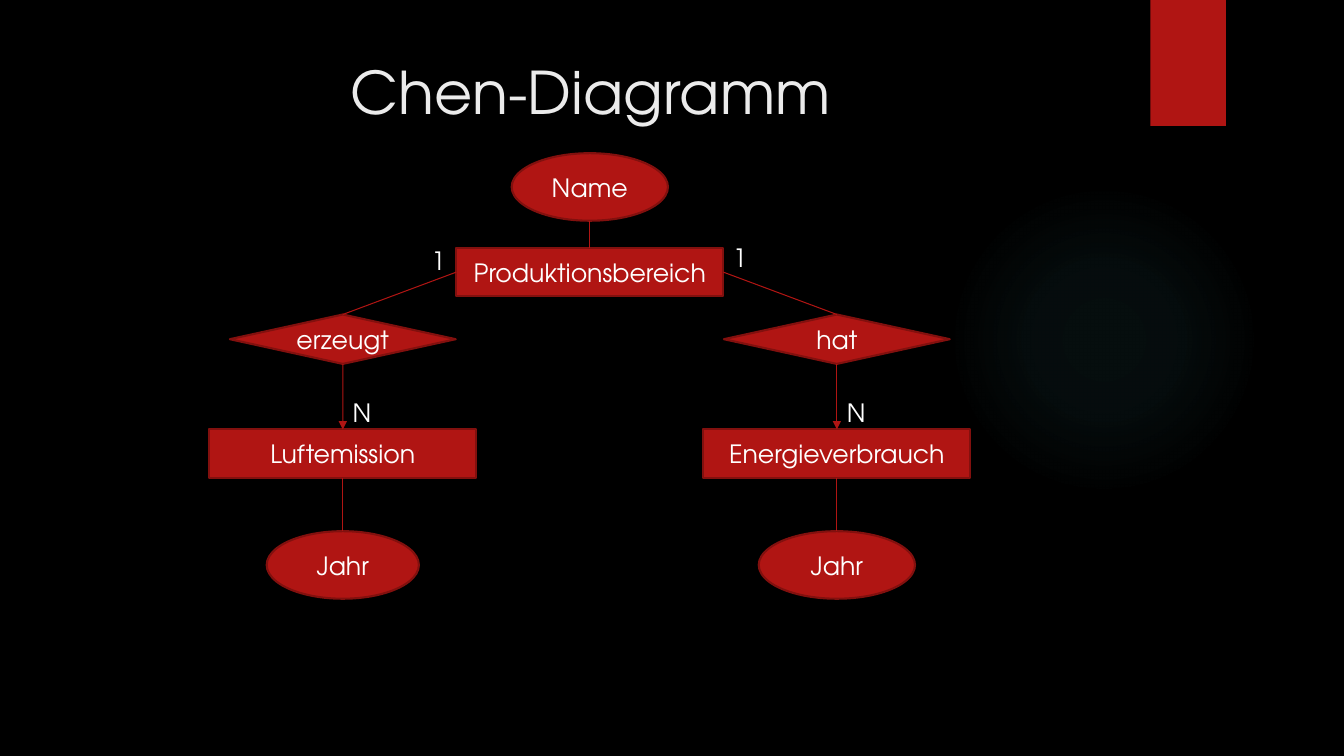
from dataclasses import dataclass

from lxml import etree
from pptx import Presentation
from pptx import util as u
from pptx.dml.color import RGBColor
from pptx.enum import shapes, text
from pptx.oxml import parse_xml
from pptx.oxml.ns import nsdecls, qn


@dataclass(frozen=True)
class Theme:
    font: str = "TeX Gyre Adventor"
    background: str = "000000"
    red: str = "B01513"
    outline: str = "82100E"
    glow: str = "50B9C1"
    title: str = "EBEBEB"
    white: str = "FFFFFF"
    title_size: float = 42
    body_size: float = 18
    node_line: float = 1.5
    link_line: float = 0.75


def rgb(value):
    return RGBColor.from_string(value)


class SlideBuilder:
    def __init__(self, deck, theme):
        self.theme = theme
        self.page = deck.slides.add_slide(deck.slide_layouts[6])
        fill = self.page.background.fill
        fill.solid()
        fill.fore_color.rgb = rgb(theme.background)

    def set_text(self, shape, words, size, color, align, **frame_format):
        frame = shape.text_frame
        for name, value in frame_format.items():
            setattr(frame, name, value)
        para = frame.paragraphs[0]
        para.alignment = align
        span = para.add_run()
        span.text = words
        font_format = {"name": self.theme.font, "size": u.Pt(size)}
        for name, value in font_format.items():
            setattr(span.font, name, value)
        span.font.color.rgb = rgb(color)

    def shape(self, kind, left, top, width, height):
        """Add a red shape without outline or shadow."""
        box = self.page.shapes.add_shape(
            kind, *map(u.Inches, (left, top, width, height)))
        box.shadow.inherit = False
        box.fill.solid()
        box.fill.fore_color.rgb = rgb(self.theme.red)
        box.line.fill.background()
        return box

    def glow(self, left, top, size):
        """Add a faint round light that fades outwards."""
        disc = self.shape(shapes.MSO_SHAPE.OVAL, left, top, size, size)
        stops = "".join(
            f'<a:gs pos="{place * 1000}"><a:srgbClr val="{self.theme.glow}">'
            f'<a:alpha val="{alpha * 1000}"/></a:srgbClr></a:gs>'
            for place, alpha in ((0, 7), (36, 6), (69, 0)))
        gradient = parse_xml(
            f'<a:gradFill {nsdecls("a")}><a:gsLst>{stops}</a:gsLst>'
            '<a:path path="circle"><a:fillToRect l="50000" t="50000" '
            'r="50000" b="50000"/></a:path></a:gradFill>')
        properties = disc.element.spPr
        properties.replace(properties.find(qn("a:solidFill")), gradient)

    def node(self, kind, words, center, top, width, height):
        """Add a labelled diagram node, placed by its centre line."""
        box = self.shape(kind, center - width / 2, top, width, height)
        box.line.fill.solid()
        box.line.color.rgb = rgb(self.theme.outline)
        box.line.width = u.Pt(self.theme.node_line)
        self.set_text(box, words, self.theme.body_size, self.theme.white,
                      text.PP_ALIGN.CENTER, word_wrap=False,
                      vertical_anchor=text.MSO_ANCHOR.MIDDLE)
        return box

    def label(self, words, left, top, width, height, size=None, color=None,
              align=text.PP_ALIGN.LEFT, wrap=False):
        box = self.page.shapes.add_textbox(
            *map(u.Inches, (left, top, width, height)))
        self.set_text(box, words, size or self.theme.body_size,
                      color or self.theme.white, align, word_wrap=wrap)

    def link(self, start, start_side, end, end_side, arrow=False):
        """Join the middles of two node sides with a straight line."""
        line = self.page.shapes.add_connector(
            shapes.MSO_CONNECTOR.STRAIGHT,
            *side_middle(start, start_side), *side_middle(end, end_side))
        line.line.color.rgb = rgb(self.theme.red)
        line.line.width = u.Pt(self.theme.link_line)
        properties = line.element.spPr
        if arrow:
            etree.SubElement(properties.find(qn("a:ln")), qn("a:tailEnd"),
                             type="triangle")
        etree.SubElement(properties, qn("a:effectLst"))


def side_middle(box, side):
    across, down = {"top": (0.5, 0), "left": (0, 0.5),
                    "bottom": (0.5, 1), "right": (1, 0.5)}[side]
    return (int(box.left + across * box.width),
            int(box.top + down * box.height))


def main():
    deck = Presentation()
    deck.slide_width, deck.slide_height = u.Inches(13.33), u.Inches(7.5)
    theme = Theme()
    slide = SlideBuilder(deck, theme)
    kinds = shapes.MSO_SHAPE
    entity_size, relation_size = (2.65, 0.48), (2.24, 0.49)
    middle = 5.85

    # Backdrop and title
    slide.glow(9.41, 1.83, 3.08)
    slide.shape(kinds.RECTANGLE, 11.41, 0, 0.75, 1.25)
    slide.label("Chen-Diagramm", 0.71, 0.5, 10.29, 1.53, theme.title_size,
                theme.title, text.PP_ALIGN.CENTER, wrap=True)

    # Central entity with its attribute
    area = slide.node(kinds.RECTANGLE, "Produktionsbereich", middle, 2.46,
                      *entity_size)
    name = slide.node(kinds.OVAL, "Name", middle, 1.52, 1.55, 0.67)
    slide.link(name, "bottom", area, "top")

    # Branches: side, centre, relation, entity, year width, place of the "1"
    branches = (
        ("left", 3.4, "erzeugt", "Luftemission", 1.51, (4.18, 2.38)),
        ("right", 8.3, "hat", "Energieverbrauch", 1.55, (7.17, 2.35)),
    )
    for side, center, verb, noun, year_width, one_place in branches:
        relation = slide.node(kinds.DIAMOND, verb, center, 3.12,
                              *relation_size)
        entity = slide.node(kinds.RECTANGLE, noun, center, 4.26, *entity_size)
        year = slide.node(kinds.OVAL, "Jahr", center, 5.27, year_width, 0.67)
        slide.link(area, side, relation, "top")
        slide.link(relation, "bottom", entity, "top", arrow=True)
        slide.link(entity, "bottom", year, "top")
        slide.label("1", *one_place, 0.34, 0.4)
        slide.label("N", center, 3.89, 0.39, 0.4)

    deck.save("out.pptx")


if __name__ == "__main__":
    main()
